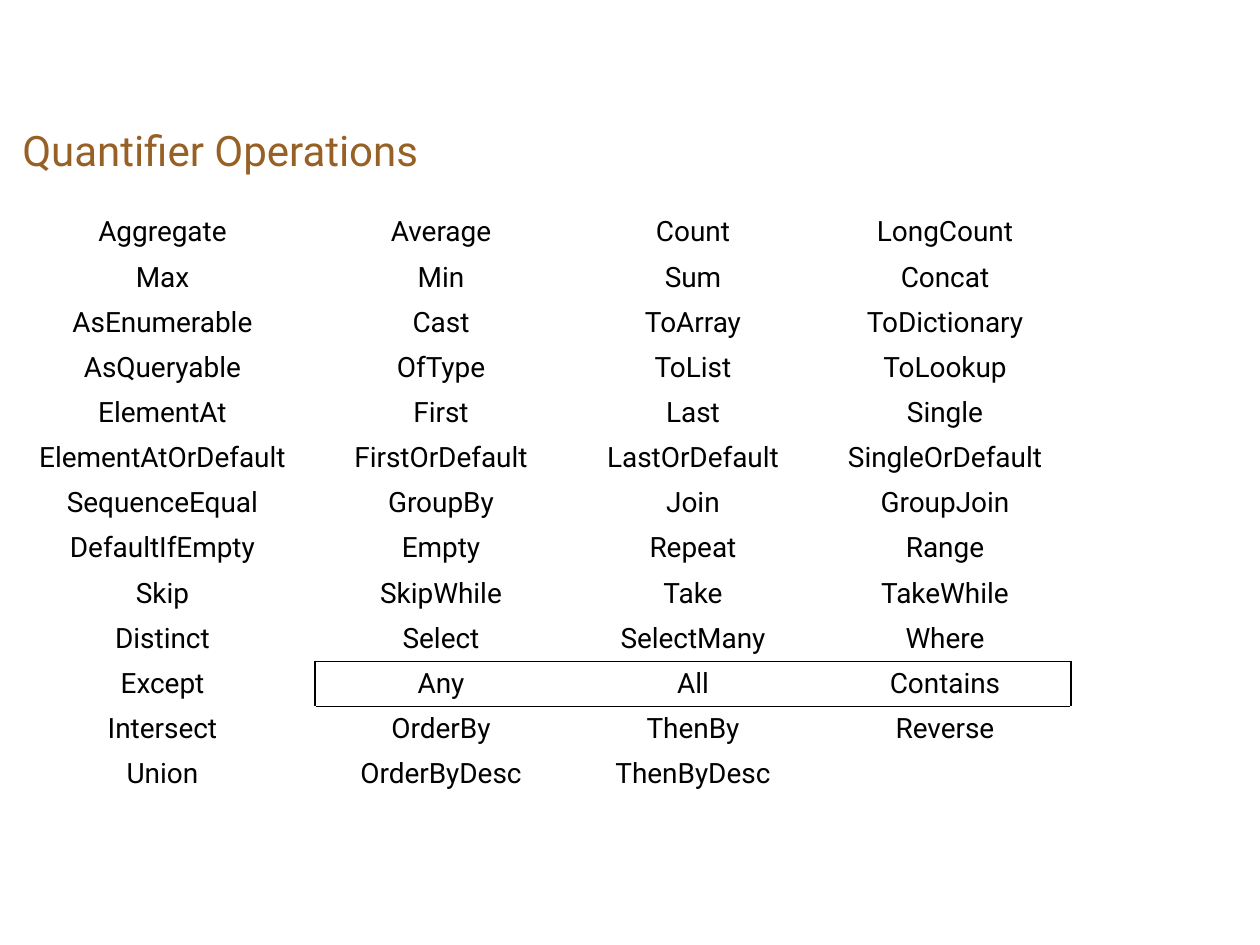
"""Builds a slide that lists query operators and frames the quantifiers."""
from dataclasses import dataclass

from lxml.etree import SubElement
from pptx import Presentation
from pptx.dml.color import RGBColor
from pptx.enum.text import MSO_ANCHOR, PP_ALIGN
from pptx.oxml.ns import qn
from pptx.slide import Slide
from pptx.table import Table, _Cell
from pptx.text.text import _Paragraph
from pptx.util import Cm, Pt

FONT = "Roboto"
BROWN = "976126"
BLACK = "000000"
COLUMN_WIDTHS = (6.15, 5.08, 5.08, 5.08)
ROW_HEIGHT = 0.91
OPERATORS = (
    ("Aggregate", "Average", "Count", "LongCount"),
    ("Max", "Min", "Sum", "Concat"),
    ("AsEnumerable", "Cast", "ToArray", "ToDictionary"),
    ("AsQueryable", "OfType", "ToList", "ToLookup"),
    ("ElementAt", "First", "Last", "Single"),
    ("ElementAtOrDefault", "FirstOrDefault", "LastOrDefault", "SingleOrDefault"),
    ("SequenceEqual", "GroupBy", "Join", "GroupJoin"),
    ("DefaultIfEmpty", "Empty", "Repeat", "Range"),
    ("Skip", "SkipWhile", "Take", "TakeWhile"),
    ("Distinct", "Select", "SelectMany", "Where"),
    ("Except", "Any", "All", "Contains"),
    ("Intersect", "OrderBy", "ThenBy", "Reverse"),
    ("Union", "OrderByDesc", "ThenByDesc", ""),
)


@dataclass(frozen=True)
class Frame:
    row: int
    first: int
    last: int

    def edges(self, row: int, col: int) -> str:
        inside = self.first <= col <= self.last
        on_row = row == self.row
        drawn = {
            "L": on_row and col in (self.first, self.last + 1),
            "R": on_row and col in (self.first - 1, self.last),
            "T": inside and row in (self.row, self.row + 1),
            "B": inside and row in (self.row - 1, self.row),
        }
        return "".join(edge for edge, shown in drawn.items() if shown)


QUANTIFIERS = Frame(row=10, first=1, last=3)


def color(value: str) -> RGBColor:
    return RGBColor.from_string(value)


def add_text(p: _Paragraph, text: str, size: float, hue: str) -> None:
    r = p.add_run()
    r.text = text
    r.font.name = FONT
    r.font.size = Pt(size)
    r.font.color.rgb = color(hue)


def add_border(cell: _Cell, edge: str) -> None:
    props = cell._tc.get_or_add_tcPr()
    line = SubElement(props, qn(f"a:ln{edge}"), w=str(Pt(1)))
    fill = SubElement(line, qn("a:solidFill"))
    SubElement(fill, qn("a:srgbClr"), val=BLACK)


def add_title(s: Slide, text: str) -> None:
    sp = s.shapes.add_textbox(Cm(0.2), Cm(2.34), Cm(24.13), Cm(1.7))
    tf = sp.text_frame
    tf.word_wrap = True
    tf.margin_top = Cm(0.18)
    add_text(tf.paragraphs[0], text, 24, BROWN)


def fill_cell(cell: _Cell, text: str, edges: str) -> None:
    for edge in edges:
        add_border(cell, edge)
    cell.fill.background()
    cell.margin_top = cell.margin_bottom = Cm(0)
    cell.vertical_anchor = MSO_ANCHOR.MIDDLE
    p = cell.text_frame.paragraphs[0]
    p.alignment = PP_ALIGN.CENTER
    if text:
        add_text(p, text, 16, BLACK)


def add_operators(s: Slide) -> Table:
    rows, cols = len(OPERATORS), len(COLUMN_WIDTHS)
    table = s.shapes.add_table(
        rows, cols, Cm(0.2), Cm(4.23),
        Cm(sum(COLUMN_WIDTHS)), Cm(rows * ROW_HEIGHT),
    ).table
    table.first_row = table.horz_banding = False
    for column, width in zip(table.columns, COLUMN_WIDTHS):
        column.width = Cm(width)
    for i, names in enumerate(OPERATORS):
        table.rows[i].height = Cm(ROW_HEIGHT)
        for j, name in enumerate(names):
            fill_cell(table.cell(i, j), name, QUANTIFIERS.edges(i, j))
    return table


def main() -> None:
    prs = Presentation()
    prs.slide_width, prs.slide_height = Cm(25.4), Cm(19.05)
    s = prs.slides.add_slide(prs.slide_layouts[6])
    add_title(s, "Quantifier Operations")
    add_operators(s)
    prs.save("out.pptx")


if __name__ == "__main__":
    main()
